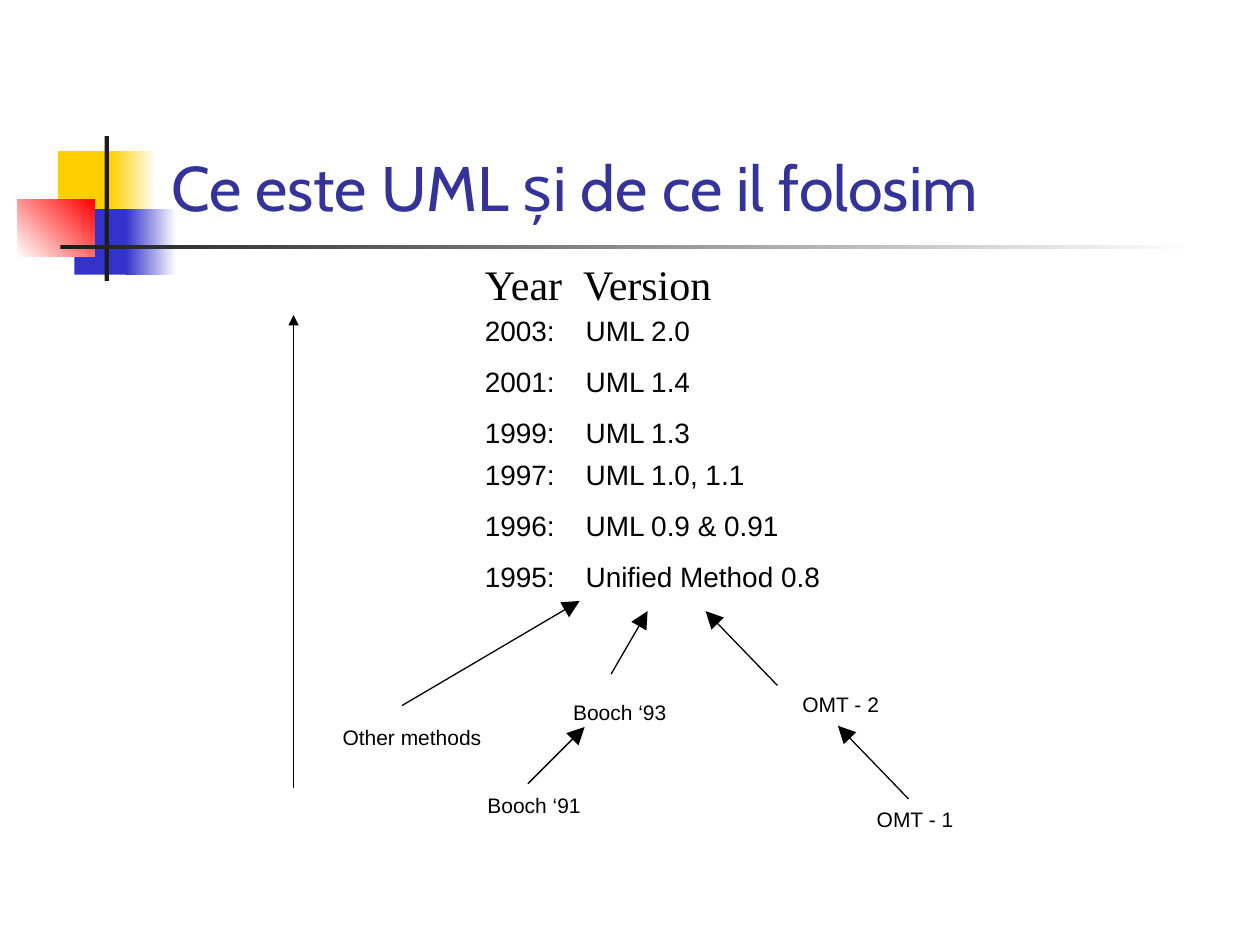
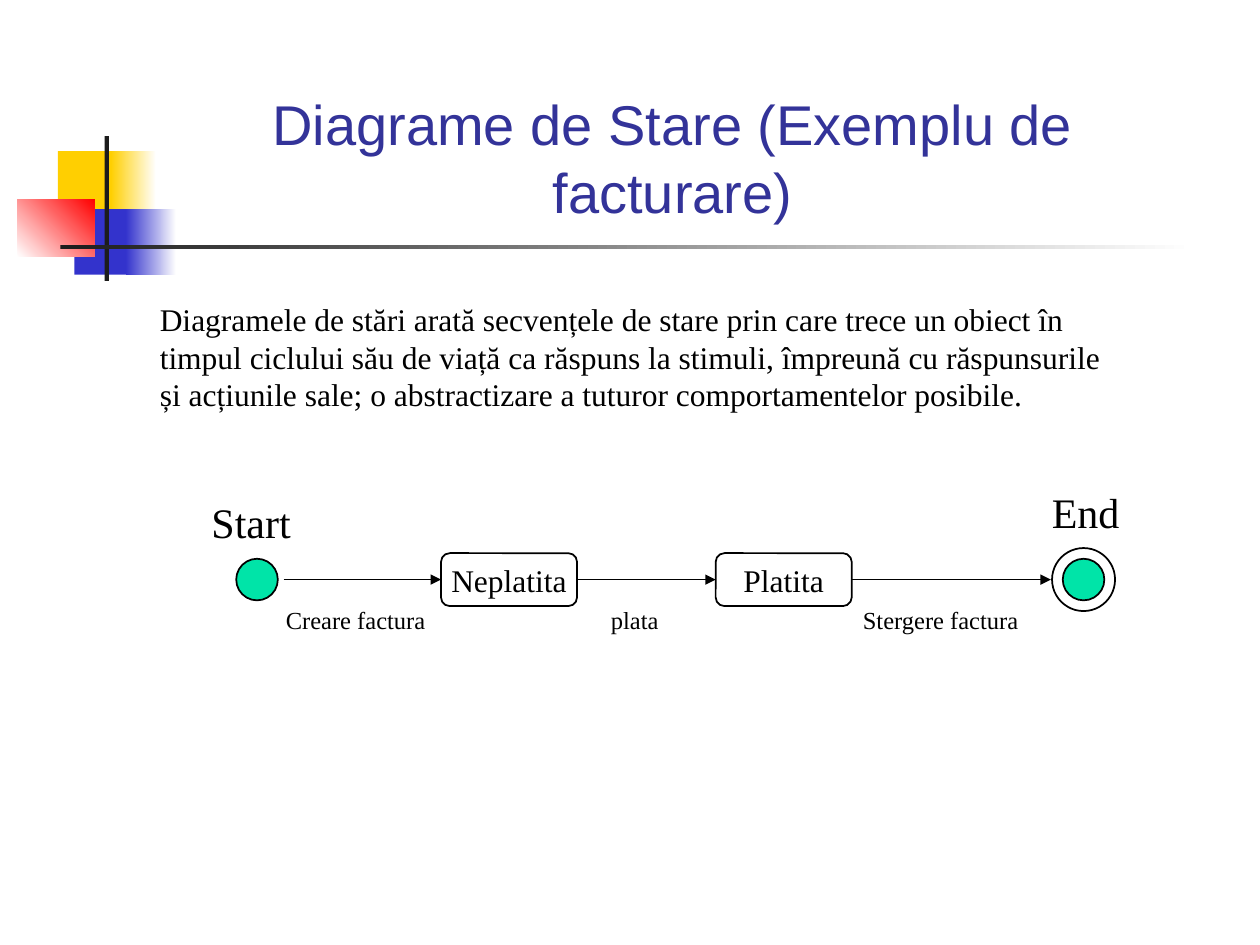
from lxml.etree import SubElement
from pptx import Presentation
from pptx.dml.color import RGBColor
from pptx.enum.shapes import MSO_CONNECTOR, MSO_SHAPE
from pptx.enum.text import MSO_ANCHOR, PP_ALIGN
from pptx.oxml.ns import qn
from pptx.util import Inches, Pt

SLIDE_W, SLIDE_H = Inches(10), Inches(7.5)
CELL = SLIDE_W / 100  # the grid has 100 columns and 75 rows

BLACK, WHITE, INK = "000000", "FFFFFF", "1C1C1C"
YELLOW, BLUE, RED = "FFCF01", "3333CC", "FF0000"
TITLE_COLOR, STATE_GREEN = "333399", "00E4A8"
SANS, SERIF, TITLE_FONT = "Arial", "Times New Roman", "Cabin"

FLOW_ROW = 46  # common axis of the state diagram


def grid(*cells):
    return [round(c * CELL) for c in cells]


def rgb(hex_color):
    return RGBColor.from_string(hex_color)


def format_paragraph(p, size, font, color=BLACK, align=PP_ALIGN.LEFT):
    p.alignment = align
    for r in p.runs:
        r.font.size, r.font.name = Pt(size), font
        r.font.color.rgb = rgb(color)


def add_tab_stop(p, column):
    tabs = SubElement(p._p.get_or_add_pPr(), qn("a:tabLst"))
    SubElement(tabs, qn("a:tab"), pos=str(grid(column)[0]), algn="l")


def add_text(slide, box, lines, size, font, color=BLACK, align=PP_ALIGN.LEFT,
             anchor=MSO_ANCHOR.TOP, gap=0, tab=None):
    """Place one paragraph per line; gap is the space between them in points."""
    tf = slide.shapes.add_textbox(*grid(*box)).text_frame
    tf.word_wrap, tf.vertical_anchor = True, anchor
    for i, line in enumerate(lines):
        p = tf.add_paragraph() if i else tf.paragraphs[0]
        p.text = line
        if i and gap:
            p.space_before = Pt(gap)
        if tab:
            add_tab_stop(p, tab)
        format_paragraph(p, size, font, color, align)


def add_title(slide, text, width, size, font, align=PP_ALIGN.LEFT):
    add_text(slide, (12.6, 2.3, width, 16), [text], size, font, TITLE_COLOR,
             align, MSO_ANCHOR.BOTTOM)


def add_figure(slide, preset, box, fill=None, outline=None):
    sp = slide.shapes.add_shape(preset, *grid(*box))
    sp.shadow.inherit = False
    if fill:
        sp.fill.solid()
        sp.fill.fore_color.rgb = rgb(fill)
    else:
        sp.fill.background()
    if outline:
        sp.line.color.rgb = rgb(outline)
        sp.line.width = Pt(1)
    else:
        sp.line.fill.background()
    return sp


def add_fade(slide, box, start, end, angle=0):
    sp = add_figure(slide, MSO_SHAPE.RECTANGLE, box)
    sp.fill.gradient()
    sp.fill.gradient_angle = angle
    for stop, color in zip(sp.fill.gradient_stops, (start, end)):
        stop.color.rgb = rgb(color)


def add_circle(slide, center_col, diameter, fill=None):
    box = (center_col - diameter / 2, FLOW_ROW - diameter / 2, diameter, diameter)
    add_figure(slide, MSO_SHAPE.OVAL, box, fill, BLACK)


def add_state(slide, left, name):
    box = (left, FLOW_ROW - 2.1, 10.8, 4.2)
    sp = add_figure(slide, MSO_SHAPE.FLOWCHART_ALTERNATE_PROCESS, box, outline=BLACK)
    tf = sp.text_frame
    tf.word_wrap, tf.vertical_anchor = False, MSO_ANCHOR.MIDDLE
    tf.text = name
    format_paragraph(tf.paragraphs[0], 18, SERIF, align=PP_ALIGN.CENTER)
    return sp


def add_arrow(slide, start, end, head="med", source=None, target=None):
    """Draw an arrow; source is left on its right side, target entered on its left."""
    line = slide.shapes.add_connector(MSO_CONNECTOR.STRAIGHT, *grid(*start, *end))
    line.line.color.rgb = rgb(BLACK)
    line.line.width = Pt(0.75)
    SubElement(line.line._get_or_add_ln(), qn("a:tailEnd"),
               type="triangle", w=head, len=head)
    SubElement(line._element.spPr, qn("a:effectLst"))
    if source:
        line.begin_connect(source, 3)
    if target:
        line.end_connect(target, 1)


def add_slide(prs):
    """Start a blank slide with the coloured squares and the two bars."""
    slide = prs.slides.add_slide(prs.slide_layouts[6])
    rect = MSO_SHAPE.RECTANGLE
    add_figure(slide, rect, (4.6, 12, 4.8, 5.2), YELLOW)
    add_fade(slide, (8.8, 12, 3.6, 5.2), YELLOW, WHITE)
    add_figure(slide, rect, (5.9, 16.6, 4.6, 5.2), BLUE)
    add_fade(slide, (10, 16.6, 4, 5.2), BLUE, WHITE)
    add_fade(slide, (1.4, 15.8, 6.1, 4.6), WHITE, RED, 45)
    add_figure(slide, rect, (8.3, 10.8, 0.35, 11.5), INK)
    add_fade(slide, (4.8, 19.45, 90, 0.35), INK, WHITE)
    return slide


def add_history_slide(prs):
    slide = add_slide(prs)
    add_title(slide, "Ce este UML și de ce il folosim", 85.2, 36, TITLE_FONT)

    add_text(slide, (37.5, 20, 25, 5), ["Year\tVersion"], 24, SERIF, tab=7.8)
    recent = ["2003:\tUML 2.0", "2001:\tUML 1.4", "1999:\tUML 1.3"]
    early = ["1997:\tUML 1.0, 1.1", "1996:\tUML 0.9 & 0.91",
             "1995:\tUnified Method 0.8"]
    for top, width, versions in ((24.4, 26.7, recent), (35.8, 46, early)):
        add_text(slide, (37.5, top, width, 11.8), versions, 16, SANS, gap=10, tab=8)

    methods = [
        ("Other methods", 26.2, 57, 13.5),
        ("Booch ‘91", 37.7, 62.4, 12.5),
        ("Booch ‘93", 44.5, 55, 9.8),
        ("OMT - 2", 62.7, 54.4, 8.5),
        ("OMT - 1", 68.6, 63.5, 8.5),
    ]
    for name, left, top, width in methods:
        add_text(slide, (left, top, width, 3), [name], 12, SANS)

    influences = [
        ((31.9, 56), (46, 47.7)),
        ((41.9, 62.2), (46.4, 57.7)),
        ((48.5, 53.5), (51.4, 48.5)),
        ((72.1, 63.4), (66.5, 57.6)),
        ((61.7, 54.4), (56, 48.5)),
    ]
    for start, end in influences:
        add_arrow(slide, start, end, head="lg")
    add_arrow(slide, (23.3, 62.5), (23.3, 25))


def add_state_slide(prs):
    slide = add_slide(prs)
    add_title(slide, "Diagrame de Stare (Exemplu de facturare)", 81.6, 32, SANS,
              PP_ALIGN.CENTER)
    add_text(slide, (11.7, 23.3, 76.7, 13),
             ["Diagramele de stări arată secvențele de stare prin care trece un "
              "obiect în timpul ciclului său de viață ca răspuns la stimuli, "
              "împreună cu răspunsurile și acțiunile sale; o abstractizare a "
              "tuturor comportamentelor posibile."], 18, SERIF)

    unpaid = add_state(slide, 35, "Neplatita")
    paid = add_state(slide, 56.8, "Platita")
    add_circle(slide, 20.4, 3.3, STATE_GREEN)
    add_circle(slide, 86, 3.3, STATE_GREEN)
    add_circle(slide, 86, 5)
    add_text(slide, (15.8, 38.9, 10.8, 5), ["Start"], 24, SERIF)
    add_text(slide, (82.5, 38.1, 8, 5), ["End"], 24, SERIF)

    transitions = [
        ("Creare factura", 21.7, 13.8, 22.5, 35, None, unpaid),
        ("plata", 47.5, 7.3, 45.8, 56.8, unpaid, paid),
        ("Stergere factura", 67.5, 15, 67.6, 83.4, paid, None),
    ]
    for label, left, width, start, end, source, target in transitions:
        add_arrow(slide, (start, FLOW_ROW), (end, FLOW_ROW),
                  source=source, target=target)
        add_text(slide, (left, 47.5, width, 3.4), [label], 14, SERIF)


def main():
    prs = Presentation()
    prs.slide_width, prs.slide_height = SLIDE_W, SLIDE_H
    add_history_slide(prs)
    add_state_slide(prs)
    prs.save("out.pptx")


if __name__ == "__main__":
    main()
